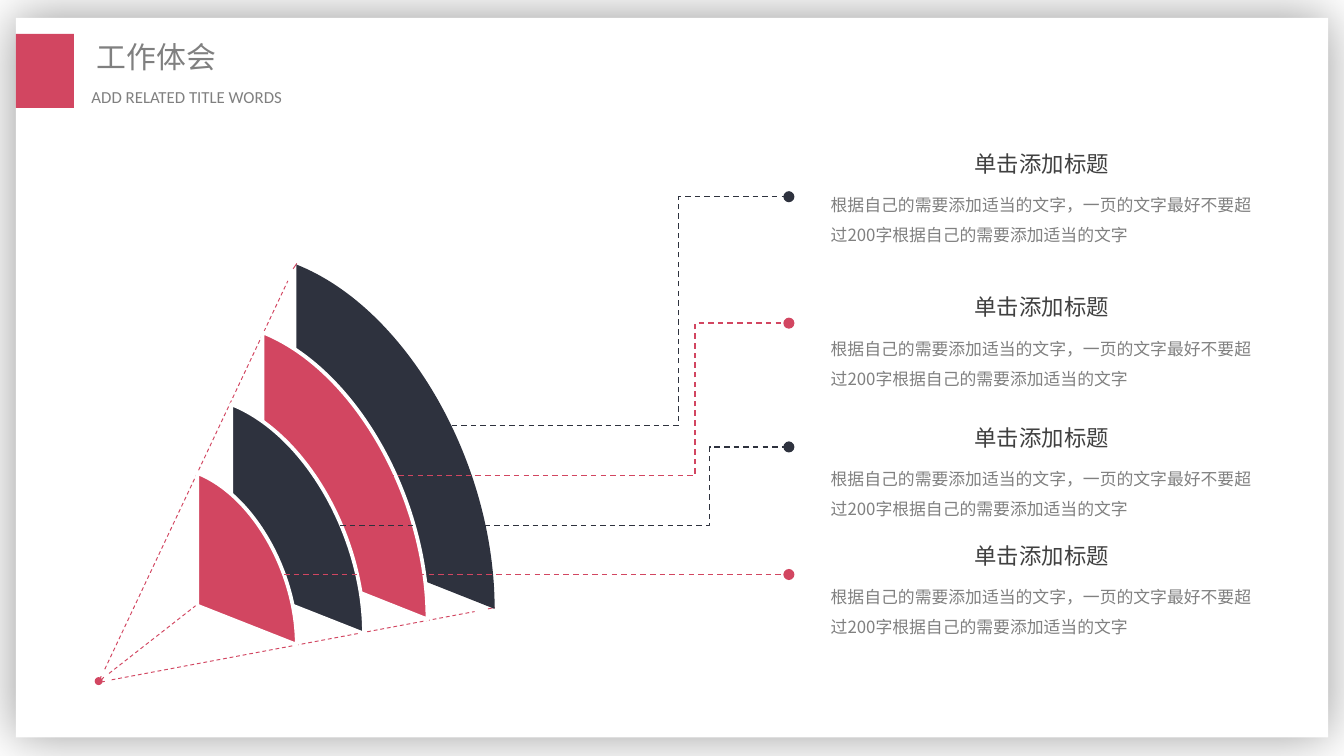
"""Build the work experience slide with a layered fan and four callouts."""
from lxml import etree
from pptx import Presentation
from pptx.dml.color import RGBColor
from pptx.enum.dml import MSO_LINE
from pptx.enum.shapes import MSO_CONNECTOR, MSO_SHAPE
from pptx.enum.text import MSO_ANCHOR, MSO_AUTO_SIZE, PP_ALIGN
from pptx.oxml.ns import qn
from pptx.util import Cm, Pt

RECT, OVAL = MSO_SHAPE.RECTANGLE, MSO_SHAPE.OVAL
STRAIGHT, ELBOW = MSO_CONNECTOR.STRAIGHT, MSO_CONNECTOR.ELBOW
LEFT, CENTER, JUSTIFY = PP_ALIGN.LEFT, PP_ALIGN.CENTER, PP_ALIGN.JUSTIFY
TOP, FIXED, DASH = MSO_ANCHOR.TOP, MSO_AUTO_SIZE.NONE, MSO_LINE.DASH

COLORS = {"white": "FFFFFF", "red": "D24661", "navy": "2E323E",
          "gray": "808080", "dark": "404040"}
CJK = "Noto Sans CJK SC"

TITLE = "工作体会"
SUBTITLE = "ADD RELATED TITLE WORDS"
HEADING = "单击添加标题"
BODY = "根据自己的需要添加适当的文字，一页的文字最好不要超过200字根据自己的需要添加适当的文字"

CALLOUTS = [
    ("navy", (8.08, 8.04), 12.83, 3.72, 2.7),
    ("red", (6.71, 8.99), 13.14, 6.11, 5.42),
    ("navy", (5.61, 9.93), 13.41, 8.45, 7.88),
    ("red", (4.37, 10.86), 9.64, 10.86, 10.11),
]
DOT_X = 14.91
TEXT_X, TEXT_W, BODY_DROP = 15.45, 8.48, 0.66

FAN = [
    ("navy", 5.6, 5.0, 3.75, 6.51, None),
    ("red", 4.96, 6.28, 3.12, 5.43, 2),
    ("navy", 4.37, 7.64, 2.51, 4.34, 2),
    ("red", 3.73, 8.94, 1.88, 3.25, 2),
]
FAN_OUTLINE = [(1, 1), (0, 0.772), (0, 0), (0.555, 0.126), (1, 0.574), (1, 1)]

RAYS = [
    [(9.22, 11.51), (9.35, 11.48), (2.11, 12.85), (8.97, 11.56), (1.85, 12.9), (1.98, 12.88)],
    [(5.54, 5.08), (5.61, 4.98), (1.98, 12.65), (5.44, 5.31), (1.88, 12.9), (1.91, 12.78)],
    [(5.49, 10.08), (5.59, 10.01), (2.06, 12.73), (3.76, 11.4), (1.88, 12.9), (1.96, 12.8)],
]

TITLE_FORMAT = {"size": 16, "font": CJK, "color": "gray", "align": LEFT, "inset": (0.2, 0.1)}
SUBTITLE_FORMAT = {"size": 9, "font": "Calibri", "color": "gray", "align": JUSTIFY,
                   "inset": (0.2, 0.1)}
HEADING_FORMAT = {"size": 12, "font": CJK, "color": "dark", "align": CENTER,
                  "inset": (0.25, 0.13)}
BODY_FORMAT = {"size": 9, "font": CJK, "color": "gray", "align": LEFT,
               "inset": (0.25, 0.13), "spacing": 1.5}


def rgb(name):
    return RGBColor.from_string(COLORS[name])


def paint(shape, color, outline=None):
    shape.shadow.inherit = False
    shape.fill.solid()
    shape.fill.fore_color.rgb = rgb(color)
    if outline:
        shape.line.color.rgb = rgb("white")
        shape.line.width = Pt(outline)
    else:
        shape.line.fill.background()
    return shape


def add_block(kind, box, color):
    return paint(slide.shapes.add_shape(kind, *map(Cm, box)), color)


def write(shape, text, style):
    frame = shape.text_frame
    across, down = map(Cm, style["inset"])
    settings = {"word_wrap": True, "auto_size": FIXED, "vertical_anchor": TOP,
                "margin_left": across, "margin_right": across,
                "margin_top": down, "margin_bottom": down}
    for name, value in settings.items():
        setattr(frame, name, value)
    paragraph = frame.paragraphs[0]
    paragraph.alignment = style["align"]
    paragraph.line_spacing = style.get("spacing", 1.0)
    run = paragraph.add_run()
    run.text = text
    run.font.size = Pt(style["size"])
    run.font.name = style["font"]
    run.font.color.rgb = rgb(style["color"])
    etree.SubElement(run.font._element, qn("a:ea")).set("typeface", style["font"])


def add_text(box, text, style):
    write(slide.shapes.add_textbox(*map(Cm, box)), text, style)


def add_line(kind, start, end, color, width, dash=None):
    line = slide.shapes.add_connector(kind, *map(Cm, (*start, *end)))
    line.line.color.rgb = rgb(color)
    line.line.width = Pt(width)
    if dash:
        line.line.dash_style = dash
    etree.SubElement(line._element.spPr, qn("a:effectLst"))
    return line


def add_fan_blade(color, left, top, width, height, outline):
    points = [(Cm(left + x * width), Cm(top + y * height)) for x, y in FAN_OUTLINE]
    builder = slide.shapes.build_freeform(*points[0])
    builder.add_line_segments(points[1:], close=False)
    blade = paint(builder.convert_to_shape(), color, outline)
    segments = list(blade._element.spPr.iter(qn("a:lnTo")))[-3:]
    curve = etree.Element(qn("a:cubicBezTo"))
    segments[0].addprevious(curve)
    for segment in segments:
        curve.append(segment[0])
        segment.getparent().remove(segment)


prs = Presentation()
prs.slide_width, prs.slide_height = Cm(25.4), Cm(14.29)
slide = prs.slides.add_slide(prs.slide_layouts[5])

card = add_block(RECT, (0.3, 0.34, 24.8, 13.6), "white")
slide.shapes._spTree.insert(2, card._element)
effects = card._element.spPr.find(qn("a:effectLst"))
glow = etree.SubElement(effects, qn("a:outerShdw"), blurRad=str(Pt(29)), dist="0",
                        dir="0", algn="ctr", rotWithShape="0")
shade = etree.SubElement(glow, qn("a:srgbClr"), val="000000")
etree.SubElement(shade, qn("a:alpha"), val="40000")

add_block(RECT, (0.3, 0.64, 1.1, 1.4), "red")
title = slide.shapes.title
for side, length in zip(("left", "top", "width", "height"), (1.63, 0.63, 5.11, 0.89)):
    setattr(title, side, Cm(length))
write(title, TITLE, TITLE_FORMAT)
add_text((1.53, 1.53, 5.66, 0.58), SUBTITLE, SUBTITLE_FORMAT)

for ray in RAYS:
    for start, end, dash in zip(ray[::2], ray[1::2], (None, DASH, None)):
        add_line(STRAIGHT, start, end, "red", 0.5, dash)

for blade in FAN:
    add_fan_blade(*blade)

add_block(OVAL, (1.79, 12.8, 0.15, 0.15), "red")

for color, start, elbow_x, dot_y, heading_y in CALLOUTS:
    leader = add_line(ELBOW, start, (DOT_X, dot_y), color, 0.75, DASH)
    bend = round((elbow_x - start[0]) / (DOT_X - start[0]) * 100000)
    guides = leader._element.spPr.find(qn("a:prstGeom")).get_or_add_avLst()
    etree.SubElement(guides, qn("a:gd"), name="adj1", fmla=f"val {bend}")
    for end in ("a:headEnd", "a:tailEnd"):
        etree.SubElement(leader.line._get_or_add_ln(), qn(end), type="oval")
    add_text((TEXT_X, heading_y + BODY_DROP, TEXT_W, 1.22), BODY, BODY_FORMAT)
    add_text((TEXT_X, heading_y, TEXT_W, 0.86), HEADING, HEADING_FORMAT)

prs.save("out.pptx")
